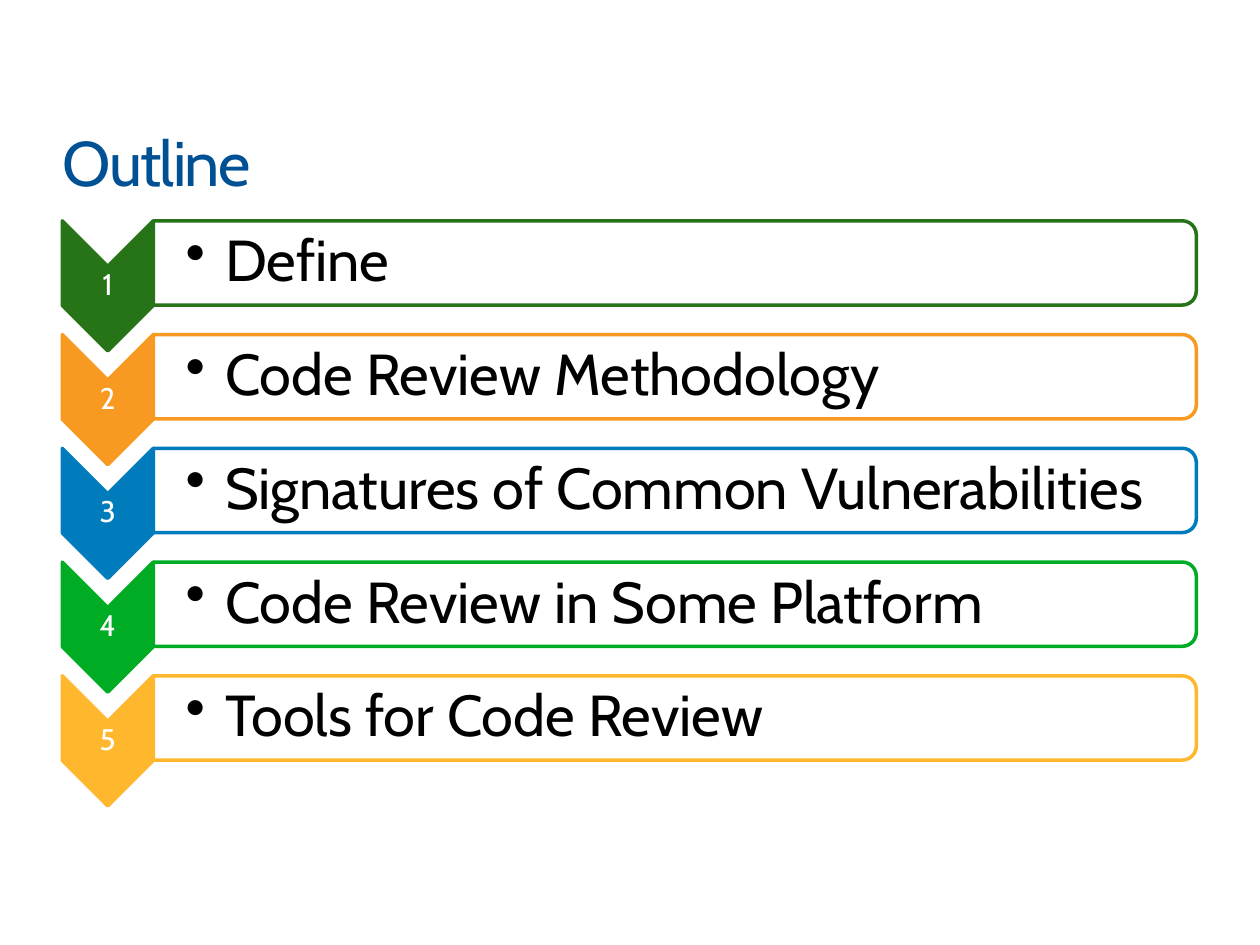
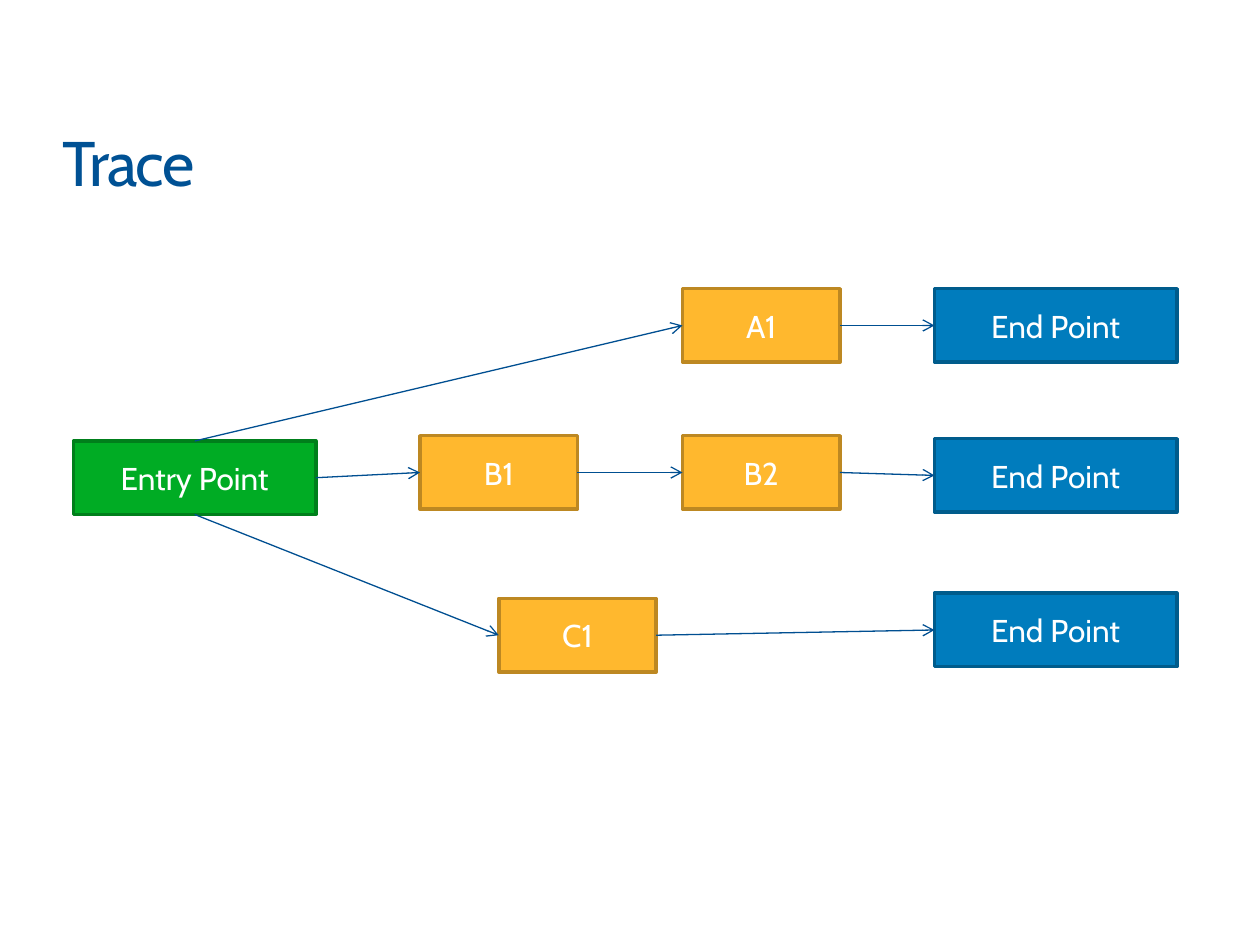
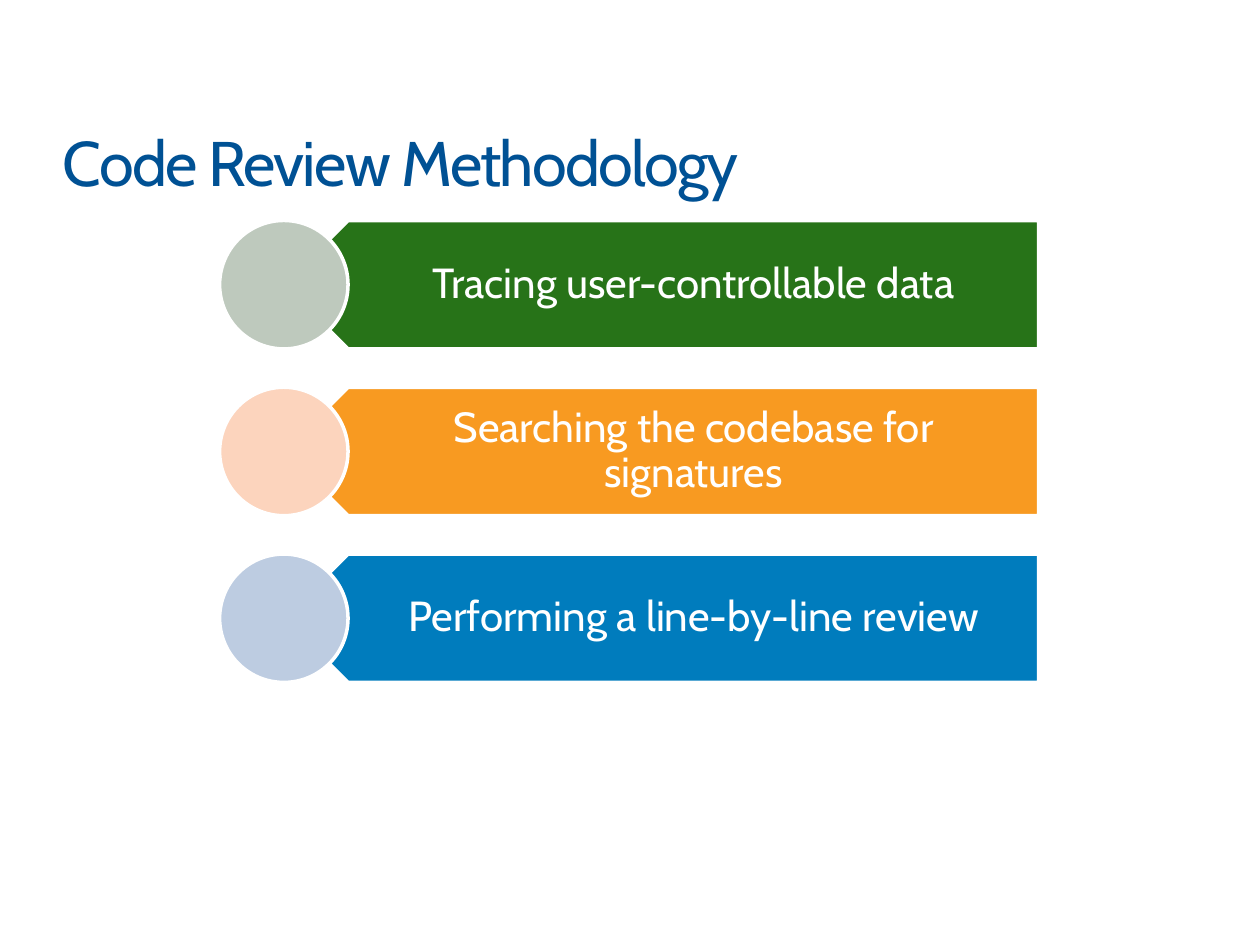
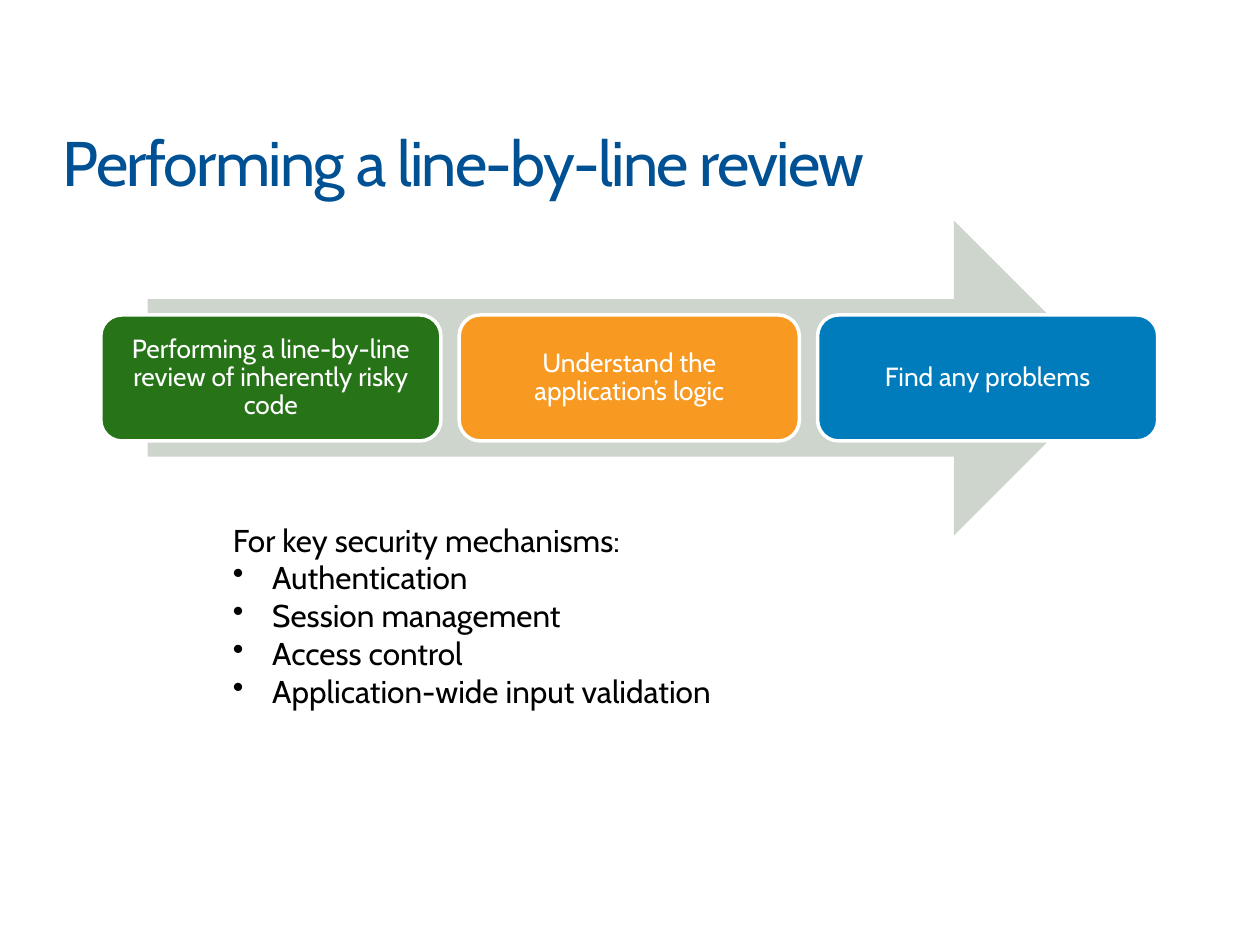
from lxml.etree import SubElement
from pptx import Presentation
from pptx.dml.color import RGBColor
from pptx.enum.shapes import MSO_CONNECTOR, MSO_SHAPE
from pptx.enum.text import MSO_ANCHOR, PP_ALIGN
from pptx.oxml.ns import qn
from pptx.util import Pt

FONT = "Cabin"
TITLE_BLUE, ARROW_BLUE = "005194", "004F91"
FOREST, ORANGE, BLUE, GREEN, AMBER = "277318", "F89A21", "007CBD", "00AC24", "FFB82E"
DARK_GREEN, DARK_BLUE, DARK_AMBER = "007F1B", "005C8C", "BD8822"
SAGE, WHITE, BLACK = "CDD5CC", "FFFFFF", "000000"
BULLET_INDENT = 22.5
TOP, LEFT, RIGHT, BOTTOM = 0, 1, 3, 2


def rgb(code):
    """Turn a hex string into a colour."""
    return RGBColor.from_string(code)


def add_bullet(paragraph):
    """Give a paragraph a hanging round bullet."""
    properties = paragraph._p.get_or_add_pPr()
    properties.set("marL", str(Pt(BULLET_INDENT)))
    properties.set("indent", str(-Pt(BULLET_INDENT)))
    bullet = SubElement(properties, qn("a:buChar"), char="•")
    properties.find(qn("a:defRPr")).addprevious(bullet)


def write(frame, lines, size, color=WHITE, align=PP_ALIGN.CENTER, anchor=MSO_ANCHOR.MIDDLE,
          insets=(7.2, 3.6, 7.2, 3.6), spacing=None, bullets_from=None):
    """Fill a text frame with evenly styled paragraphs."""
    frame.word_wrap = True
    frame.vertical_anchor = anchor
    frame.margin_left, frame.margin_top, frame.margin_right, frame.margin_bottom = map(Pt, insets)
    for index, line in enumerate(lines):
        paragraph = frame.add_paragraph() if index else frame.paragraphs[0]
        paragraph.text = line
        paragraph.alignment = align
        paragraph.line_spacing = spacing
        paragraph.font.name = FONT
        paragraph.font.size = Pt(size)
        paragraph.font.color.rgb = rgb(color)
        if bullets_from is not None and index >= bullets_from:
            add_bullet(paragraph)


def add_text(slide, box, lines, size, **style):
    """Add a text box and return its frame."""
    frame = slide.shapes.add_textbox(*map(Pt, box)).text_frame
    write(frame, lines, size, **style)
    return frame


def add_block(slide, kind, box, fill, line=None, rotation=0):
    """Add a flat shape that covers the box once it is rotated."""
    left, top, width, height = box
    if rotation == 90:
        left, top = left + (width - height) / 2, top + (height - width) / 2
        width, height = height, width
    block = slide.shapes.add_shape(kind, Pt(left), Pt(top), Pt(width), Pt(height))
    block.rotation = rotation
    block.shadow.inherit = False
    block.fill.solid()
    block.fill.fore_color.rgb = rgb(fill)
    if line:
        block.line.color.rgb = rgb(line)
        block.line.width = Pt(2)
    else:
        block.line.fill.background()
    return block


def add_titled_slide(deck, title):
    """Add a blank slide with the shared title."""
    slide = deck.slides.add_slide(deck.slide_layouts[6])
    frame = add_text(slide, (36, 70.5, 648, 44), [title], 36, color=TITLE_BLUE,
                     align=PP_ALIGN.LEFT, anchor=MSO_ANCHOR.TOP, insets=(0, 0, 0, 0))
    frame.paragraphs[0]._p.pPr.find(qn("a:defRPr")).set("spc", "-100")
    return slide


def add_outline_row(slide, left, top, number, topic, color):
    """Draw a numbered chevron and the topic bar beside it."""
    chevron_width, chevron_height, bar_width, bar_height = 52, 74.3, 596, 48.2
    bar_left = left + chevron_width
    add_block(slide, MSO_SHAPE.CHEVRON, (left, top, chevron_width, chevron_height),
              color, color, rotation=90)
    add_text(slide, (left, top + 26, chevron_width, 22.3), [str(number)], 17,
             insets=(0.8,) * 4, spacing=0.9)
    add_block(slide, MSO_SHAPE.ROUND_2_SAME_RECTANGLE, (bar_left, top, bar_width, bar_height),
              WHITE, color, rotation=90)
    add_text(slide, (bar_left, top + 2, bar_width - 2.5, bar_height - 4), [topic], 33,
             color=BLACK, align=PP_ALIGN.LEFT, insets=(18.5, 1.5, 1.5, 1.5),
             spacing=0.9, bullets_from=0)


def build_outline(deck):
    """Build the outline slide."""
    slide = add_titled_slide(deck, "Outline")
    topics = [
        ("Define", FOREST),
        ("Code Review Methodology", ORANGE),
        ("Signatures of Common Vulnerabilities", BLUE),
        ("Code Review in Some Platform", GREEN),
        ("Tools for Code Review", AMBER),
    ]
    for index, (topic, color) in enumerate(topics):
        add_outline_row(slide, 35.6, 126.2 + 65 * index, index + 1, topic, color)


def add_arrow(slide, start, start_side, end, end_side):
    """Connect two steps with an open arrowhead at the end."""
    arrow = slide.shapes.add_connector(MSO_CONNECTOR.STRAIGHT, 0, 0, 0, 0)
    arrow.begin_connect(start, start_side)
    arrow.end_connect(end, end_side)
    arrow.line.color.rgb = rgb(ARROW_BLUE)
    arrow.line.width = Pt(0.75)
    SubElement(arrow.line._get_or_add_ln(), qn("a:tailEnd"), type="arrow")
    SubElement(arrow._element.spPr, qn("a:effectLst"))


def add_step(slide, label, left, top, width, fill, line):
    """Draw one labelled step of the trace."""
    step = add_block(slide, MSO_SHAPE.RECTANGLE, (left, top, width, 42), fill, line)
    write(step.text_frame, [label], 18)
    return step


def build_trace(deck):
    """Build the slide that traces data from entry to end points."""
    slide = add_titled_slide(deck, "Trace")
    entry = add_step(slide, "Entry Point", 42, 252, 138.5, GREEN, DARK_GREEN)
    ends = [add_step(slide, "End Point", 534, top, 138.5, BLUE, DARK_BLUE)
            for top in (165, 250.7, 339)]
    a1, b2, c1, b1 = [
        add_step(slide, label, left, top, 90, AMBER, DARK_AMBER)
        for label, left, top in (("A1", 390, 165), ("B2", 390, 249),
                                 ("C1", 285, 342), ("B1", 240, 249))
    ]
    for start_side, chain in ((TOP, (a1,)), (RIGHT, (b1, b2)), (BOTTOM, (c1,))):
        add_arrow(slide, entry, start_side, chain[0], LEFT)
        for start, end in zip(chain, chain[1:]):
            add_arrow(slide, start, RIGHT, end, LEFT)
    for last, end in zip((a1, b2, c1), ends):
        add_arrow(slide, last, RIGHT, end, LEFT)


def add_method_row(slide, left, top, method, color, tint):
    """Draw a method banner with a circle over its point."""
    size, banner_width = 73.4, 431.3
    banner_left = left + size / 2
    add_block(slide, MSO_SHAPE.PENTAGON, (banner_left, top, banner_width, size),
              color, WHITE, rotation=180)
    add_text(slide, (banner_left + size / 4, top, banner_width - size / 4, size), [method], 24,
             insets=(32.4, 7.2, 13.7, 7.2), spacing=0.9)
    add_block(slide, MSO_SHAPE.OVAL, (left, top, size, size), tint, WHITE)


def build_methodology(deck):
    """Build the slide of the three review methods."""
    slide = add_titled_slide(deck, "Code Review Methodology")
    methods = [
        ("Tracing user-controllable data", FOREST, "BEC9BD"),
        ("Searching the codebase for signatures", ORANGE, "FCD4BD"),
        ("Performing a line-by-line review", BLUE, "BDCCE1"),
    ]
    for index, method in enumerate(methods):
        add_method_row(slide, 125.5, 126 + 95.3 * index, *method)


def add_process(slide, left, top, stages):
    """Draw a wide arrow with the stages laid across it."""
    add_block(slide, MSO_SHAPE.RIGHT_ARROW, (left + 26.7, top, 550.8, 180), SAGE)
    for index, (stage, color) in enumerate(stages):
        card = add_block(slide, MSO_SHAPE.ROUNDED_RECTANGLE,
                         (left + 204.8 * index, top + 54, 194.4, 72), color, WHITE)
        write(card.text_frame, [stage], 15, insets=(4.5,) * 4, spacing=0.9)


def build_line_review(deck):
    """Build the slide on reviewing line by line."""
    slide = add_titled_slide(deck, "Performing a line-by-line review")
    add_process(slide, 57.6, 126, [
        ("Performing a line-by-line review of inherently risky code", FOREST),
        ("Understand the application’s logic", ORANGE),
        ("Find any problems", BLUE),
    ])
    mechanisms = ["For key security mechanisms:", "Authentication", "Session management",
                  "Access control", "Application-wide input validation"]
    add_text(slide, (126, 294, 366, 116.5), mechanisms, 18, color=BLACK,
             align=PP_ALIGN.LEFT, anchor=MSO_ANCHOR.TOP, bullets_from=1)


def main():
    """Build the deck and save it."""
    deck = Presentation()
    deck.slide_width, deck.slide_height = Pt(720), Pt(540)
    for build in (build_outline, build_trace, build_methodology, build_line_review):
        build(deck)
    deck.save("out.pptx")


if __name__ == "__main__":
    main()
